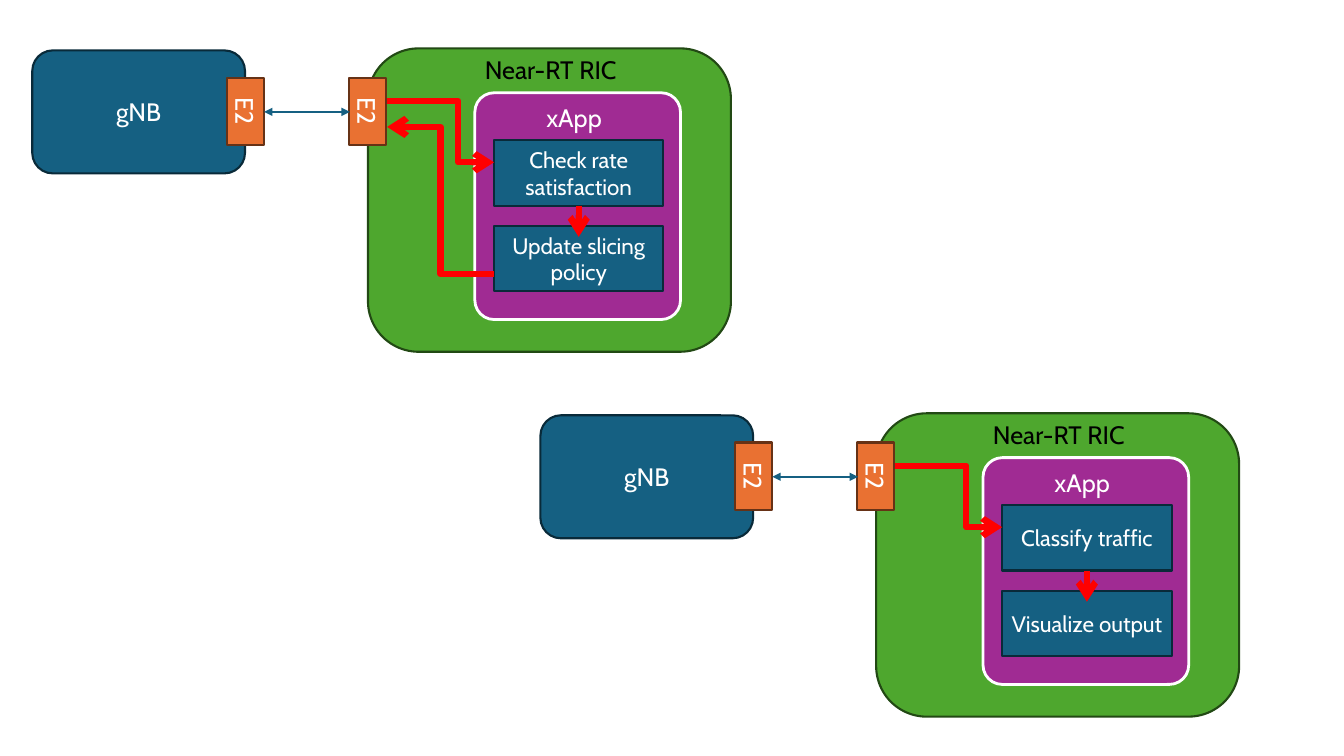
from pptx import Presentation
from pptx.dml.color import RGBColor
from pptx.enum.shapes import MSO_CONNECTOR, MSO_SHAPE
from pptx.enum.text import MSO_ANCHOR, MSO_AUTO_SIZE, PP_ALIGN
from pptx.oxml.ns import qn
from pptx.util import Emu, Pt
from lxml.etree import SubElement

SCALE = 9144  # EMU in one px, 100 px to the inch
BLUE, NAVY = "156082", "092A39"
ORANGE, BROWN = "E97132", "663216"
GREEN, MOSS = "4EA72E", "224914"
PURPLE, RED = "A02B93", "FF0000"
WHITE, BLACK = "FFFFFF", "000000"


def px(*nums):
    return [Emu(n * SCALE) for n in nums]


def color(code):
    return RGBColor.from_string(code)


def apply(item, form):
    for name, value in form.items():
        setattr(item, name, value)


class Board:
    font = "Cabin"

    def __init__(self, deck):
        self.slide = deck.slides.add_slide(deck.slide_layouts[6])
        self.shapes = self.slide.shapes

    def letter(self, shape, text, size, ink, align, form):
        frame = shape.text_frame
        apply(frame, {"word_wrap": True, **form})
        para = frame.paragraphs[0]
        para.alignment = align
        run = para.add_run()
        run.text = text
        apply(run.font, {"name": self.font, "size": Pt(size)})
        run.font.color.rgb = color(ink)

    def box(self, area, fill, edge, text="", size=18, width=1.5,
            kind=MSO_SHAPE.RECTANGLE, turn=0, curve=None, **form):
        shape = self.shapes.add_shape(kind, *px(*area))
        shape.rotation = turn
        shape.shadow.inherit = False
        shape.fill.solid()
        shape.fill.fore_color.rgb = color(fill)
        shape.line.color.rgb = color(edge)
        shape.line.width = Pt(width)
        if curve is not None:
            shape.adjustments[0] = curve
        if text:
            self.letter(shape, text, size, WHITE, PP_ALIGN.CENTER,
                        {"vertical_anchor": MSO_ANCHOR.MIDDLE, **form})
        return shape

    def label(self, area, text, ink):
        shape = self.shapes.add_textbox(*px(*area))
        self.letter(shape, text, 18, ink, PP_ALIGN.LEFT,
                    {"auto_size": MSO_AUTO_SIZE.SHAPE_TO_FIT_TEXT})

    def link(self, start, end, ink, width, heads, bend=None,
             first=None, last=None):
        kind = MSO_CONNECTOR.STRAIGHT if bend is None else MSO_CONNECTOR.ELBOW
        ends = px(*start, *end)
        line = self.shapes.add_connector(kind, *ends)
        if first:
            line.begin_connect(*first)
        if last:
            line.end_connect(*last)
        # Joined sides of turned shapes need the true end points
        apply(line, dict(zip(("begin_x", "begin_y", "end_x", "end_y"), ends)))
        line.line.color.rgb = color(ink)
        line.line.width = Pt(width)
        props = line._element.spPr
        for tag, head in heads.items():
            SubElement(props.find(qn("a:ln")), qn("a:" + tag), type=head)
        SubElement(props, qn("a:effectLst"))
        if bend is not None:
            guides = props.find(qn("a:prstGeom")).get_or_add_avLst()
            SubElement(guides, qn("a:gd"), name="adj1",
                       fmla=f"val {round(bend * 100000)}")


def draw(board, left, top, steps, reply):
    def at(x, y, *size):
        return (left + x, top + y, *size)

    def port(x):
        return board.box(at(x, 92, 67, 37), ORANGE, BROWN, "E2", turn=90)

    # Base station, controller and their ports
    oval = MSO_SHAPE.ROUNDED_RECTANGLE
    board.box(at(32, 50, 211, 122), BLUE, NAVY, "gNB", kind=oval)
    near = port(210)
    board.box(at(365, 48, 360, 301), GREEN, MOSS, kind=oval)
    far = port(331)
    board.label(at(471, 49, 157, 40), "Near-RT RIC", BLACK)

    # App panel and port link
    board.box(at(471, 92, 204, 225), PURPLE, WHITE, width=2, kind=oval,
              curve=0.094)
    board.link(at(262, 111), at(347, 111), BLUE, 1.5,
               {"headEnd": "triangle", "tailEnd": "triangle"},
               first=(near, 0), last=(far, 2))
    board.label(at(532, 97, 85, 40), "xApp", WHITE)

    # Steps, one below the other
    cells = [board.box(at(490, 139 + 85 * i, 168, 65), BLUE, NAVY, step, 16,
                       margin_left=side, margin_right=side)
             for i, (step, side) in enumerate(zip(steps, px(10, 0)))]

    # Red flow
    tip = {"tailEnd": "arrow"}
    board.link(at(384, 100), at(490, 161), RED, 4.5, tip, bend=0.665)
    if reply:
        board.link(at(490, 272), at(384, 126), RED, 4.5, tip, bend=0.5)
    board.link(at(574, 204), at(574, 235), RED, 4.5, tip,
               first=(cells[0], 2))


def main():
    deck = Presentation()
    deck.slide_width, deck.slide_height = px(1333, 750)
    board = Board(deck)
    draw(board, 0, 0, ("Check rate satisfaction", "Update slicing policy"),
         True)
    draw(board, 504, 362, ("Classify traffic", "Visualize output"), False)
    deck.save("out.pptx")


if __name__ == "__main__":
    main()
